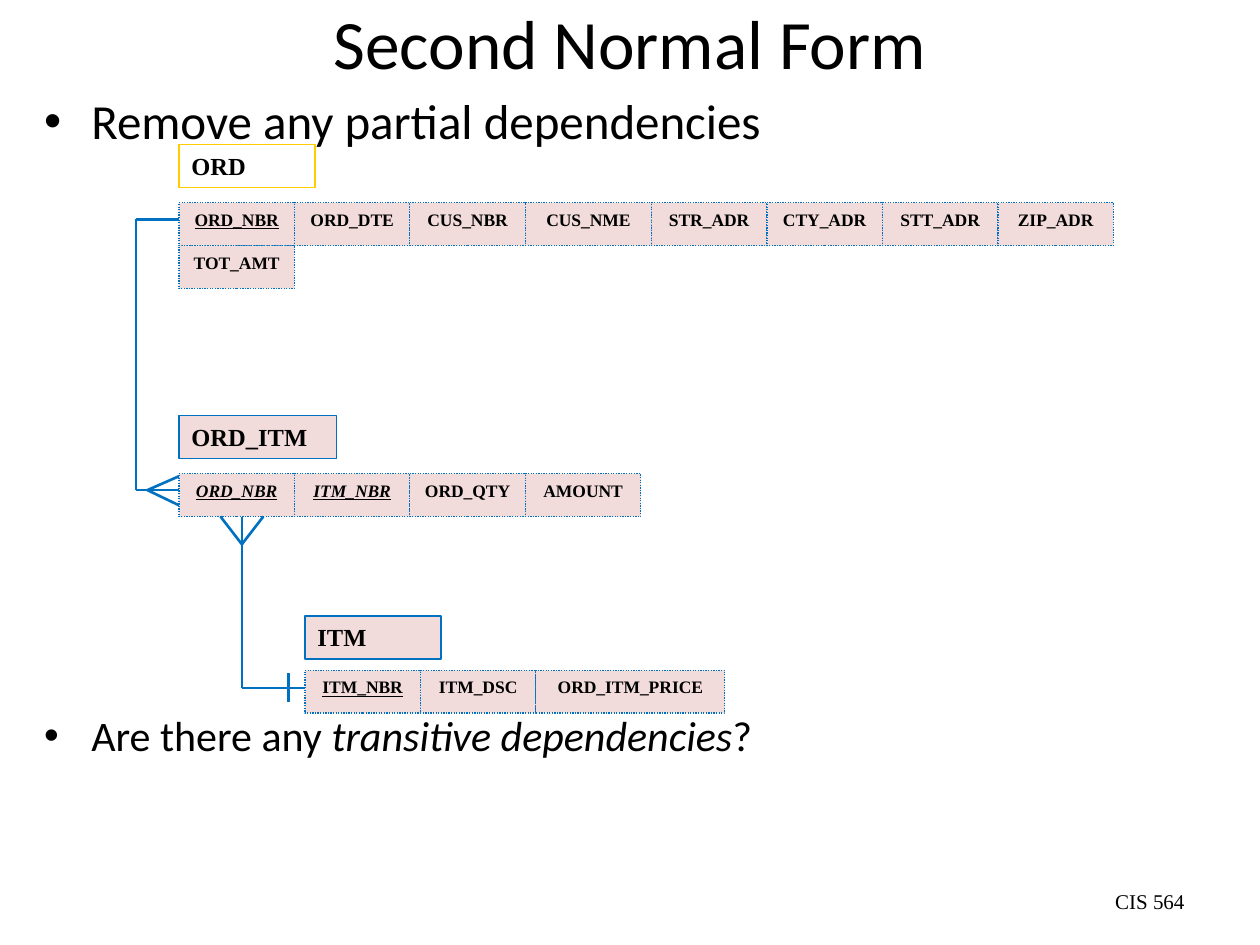
import itertools

import pptx
import pptx.dml.color
import pptx.enum.dml
import pptx.enum.shapes
import pptx.enum.text
import pptx.oxml.ns
import pptx.util
from lxml import etree
from pptx.util import Inches

COLORS = {"text": "000000", "cell": "F2DCDB", "line": "0070C0", "accent": "FFCC00"}
SANS, SERIF = "Calibri", "Times New Roman"
FIELD_WIDTH, BOX_HEIGHT = 11 / 12, 0.34
ALIGN = pptx.enum.text.PP_ALIGN
ANCHOR = pptx.enum.text.MSO_ANCHOR


def color(name):
    """Return the named palette color."""
    return pptx.dml.color.RGBColor.from_string(COLORS[name])


def place(shape, left, top, width, height):
    """Move and size a shape, with lengths in inches."""
    shape.left, shape.top = Inches(left), Inches(top)
    shape.width, shape.height = Inches(width), Inches(height)


def style(para, size, font, align=ALIGN.LEFT, bold=False):
    """Set a paragraph's font and alignment."""
    para.alignment = align
    para.font.size, para.font.name = pptx.util.Pt(size), font
    para.font.bold = bold
    para.font.color.rgb = color("text")


def add_title(page, left, top, width, height):
    """Fill the title placeholder."""
    title = page.shapes.title
    place(title, left, top, width, height)
    frame = title.text_frame
    frame.text = "Second Normal Form"
    frame.vertical_anchor = ANCHOR.MIDDLE
    frame.auto_size = pptx.enum.text.MSO_AUTO_SIZE.NONE
    style(frame.paragraphs[0], 39.6, SANS, ALIGN.CENTER)


def add_body(page, left, top, width, height):
    """Fill the body with a bullet above and a bullet below the diagram."""
    body = page.placeholders[1]
    place(body, left, top, width, height)
    frame = body.text_frame
    frame.auto_size = pptx.enum.text.MSO_AUTO_SIZE.NONE
    frame.text = "Remove any partial dependencies"
    style(frame.paragraphs[0], 28, SANS)
    para = frame.add_paragraph()
    style(para, 24, SANS)
    para.space_before = pptx.util.Pt(320)
    for text, italic in (("Are there any ", False), ("transitive dependencies", True), ("?", False)):
        span = para.add_run()
        span.text, span.font.italic = text, italic


def add_footer(page, left, top, width, height):
    """Write the course name at the lower right."""
    box = page.shapes.add_textbox(*map(Inches, (left, top, width, height)))
    frame = box.text_frame
    frame.word_wrap = True
    frame.vertical_anchor = ANCHOR.MIDDLE
    frame.text = "CIS 564"
    style(frame.paragraphs[0], 12, SERIF, ALIGN.RIGHT)


def add_box(page, left, top, width, text, size, align, fill="cell", line="line"):
    """Draw one bordered box with bold text and return it."""
    box = page.shapes.add_shape(
        pptx.enum.shapes.MSO_SHAPE.RECTANGLE, *map(Inches, (left, top, width, BOX_HEIGHT))
    )
    box.shadow.inherit = False
    if fill:
        box.fill.solid()
        box.fill.fore_color.rgb = color(fill)
    else:
        box.fill.background()
    box.line.color.rgb = color(line)
    box.line.width = pptx.util.Pt(0.75)
    frame = box.text_frame
    frame.vertical_anchor = ANCHOR.TOP
    frame.text = text
    style(frame.paragraphs[0], size, SERIF, align, bold=True)
    return box


def add_entity(page, left, top, width, name, rows, drop=0.46, **look):
    """Draw an entity's name and, below it, its rows of (field, width, marks)."""
    add_box(page, left, top, width, name, 14, ALIGN.LEFT, **look)
    for index, row in enumerate(rows):
        x, y = left, top + drop + index * BOX_HEIGHT
        for text, field_width, marks in row:
            box = add_box(page, x, y, field_width, text, 10, ALIGN.CENTER)
            box.line.dash_style = pptx.enum.dml.MSO_LINE.ROUND_DOT
            font = box.text_frame.paragraphs[0].font
            font.underline, font.italic = "u" in marks, "i" in marks
            x += field_width


def fields(names, marks=()):
    """Return standard-width fields, marking the leading ones as keys."""
    return [
        (name, FIELD_WIDTH, mark)
        for name, mark in itertools.zip_longest(names.split(), marks, fillvalue="")
    ]


def add_path(page, left, top, *points):
    """Join points, given relative to a corner, with straight lines."""
    for (x1, y1), (x2, y2) in itertools.pairwise(points):
        line = page.shapes.add_connector(
            pptx.enum.shapes.MSO_CONNECTOR.STRAIGHT,
            *map(Inches, (left + x1, top + y1, left + x2, top + y2)),
        )
        line.line.color.rgb = color("line")
        line.line.width = pptx.util.Pt(1.5)
        properties = line._element.find(pptx.oxml.ns.qn("p:spPr"))
        etree.SubElement(properties, pptx.oxml.ns.qn("a:effectLst"))


def add_order_link(page, left, top, width, height):
    """Link one order to many order items with a side bracket."""
    add_path(page, left, top, (width, 0), (0, 0), (0, height), (width, height))
    add_path(page, left, top, (width, height - 0.11), (0.09, height), (width, height + 0.12))


def add_item_link(page, left, top, width, height):
    """Link many order items to one item with an elbow."""
    add_path(page, left, top, (0, 0), (0, height), (width, height))
    add_path(page, left, top, (-0.17, 0), (0, 0.22), (0.17, 0))
    add_path(page, left, top, (width - 0.13, height - 0.12), (width - 0.13, height + 0.11))


def add_diagram(page, left, top):
    """Place the three entities and their links from the first one's corner."""
    order = fields("ORD_NBR ORD_DTE CUS_NBR", ["u"])
    order += [("CUS_NME", 1, "")] + fields("STR_ADR CTY_ADR STT_ADR ZIP_ADR")
    add_entity(page, left, top, 1.08, "ORD", [order, fields("TOT_AMT")], fill=None, line="accent")
    order_items = fields("ORD_NBR ITM_NBR ORD_QTY AMOUNT", ["ui", "ui"])
    add_entity(page, left, top + 2.15, 1.25, "ORD_ITM", [order_items])
    items = fields("ITM_NBR ITM_DSC", ["u"]) + [("ORD_ITM_PRICE", 1.5, "")]
    add_entity(page, left + 1, top + 3.74, 1.08, "ITM", [items], drop=0.43)
    add_order_link(page, left - 0.34, top + 0.59, 0.34, 2.15)
    add_item_link(page, left + 0.5, top + 2.95, 0.5, 1.36)


def main():
    """Build and save the slide."""
    deck = pptx.Presentation()
    deck.slide_width, deck.slide_height = Inches(10), Inches(7.5)
    page = deck.slides.add_slide(deck.slide_layouts[1])
    add_title(page, 0.75, 0, 8.5, 0.67)
    add_body(page, 0.25, 0.67, 9.5, 6.25)
    add_footer(page, 7.17, 6.95, 2.33, 0.4)
    add_diagram(page, 1.42, 1.15)
    deck.save("out.pptx")


if __name__ == "__main__":
    main()
